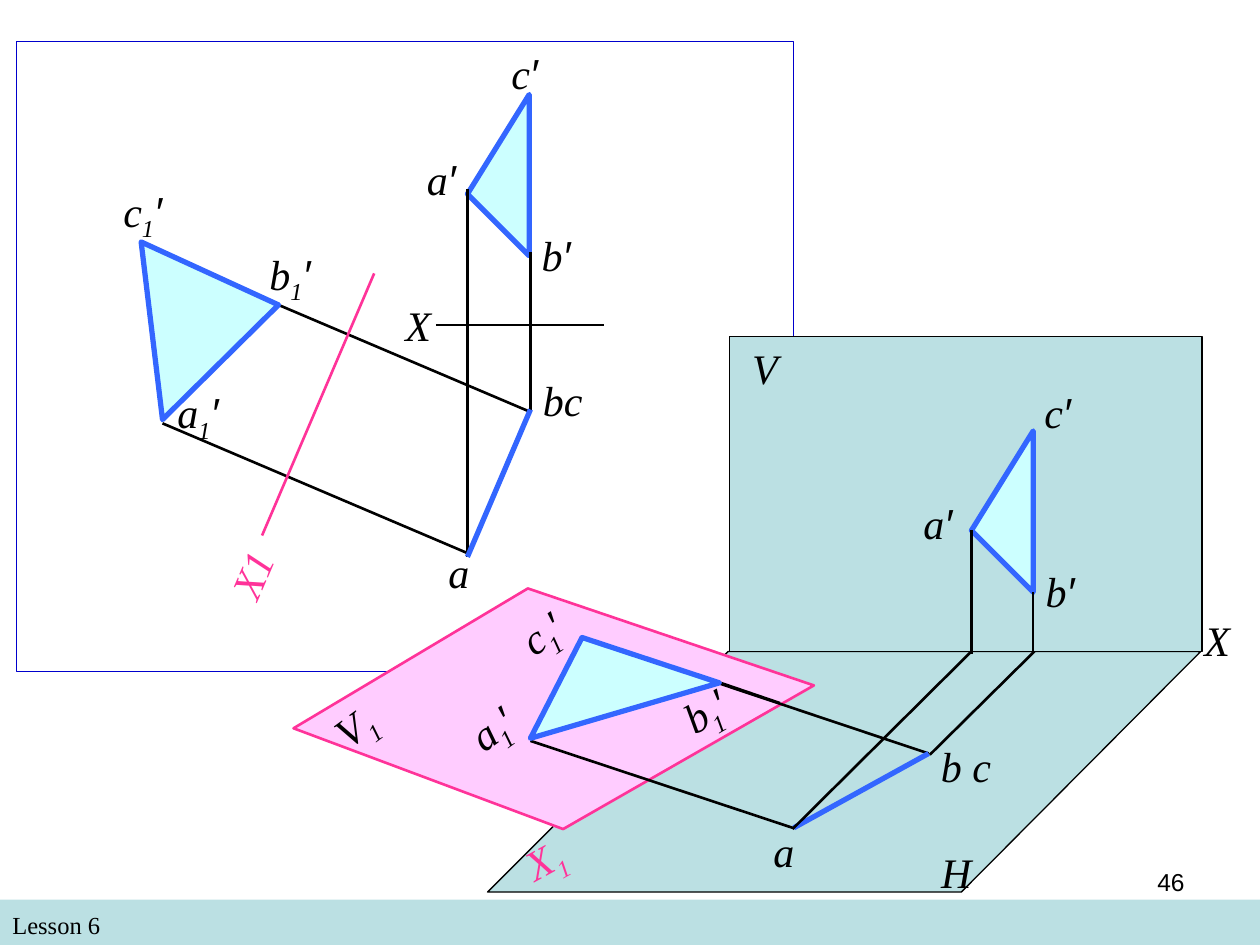
from lxml.etree import SubElement
from pptx import Presentation
from pptx.dml.color import RGBColor
from pptx.enum.shapes import MSO_CONNECTOR, MSO_SHAPE
from pptx.enum.text import PP_ALIGN
from pptx.oxml.ns import qn
from pptx.util import Inches, Pt

BLACK, BLUE, PINK = "000000", "3366FF", "FF3399"
TEAL, CYAN, ROSE = "BBE0E3", "CCFFFF", "FFCCFF"
SERIF, SANS = "Times New Roman", "Arial"


def color(code):
    return RGBColor.from_string(code)


def paint(shape, fill, line, width):
    shape.shadow.inherit = False
    if fill:
        shape.fill.solid()
        shape.fill.fore_color.rgb = color(fill)
    else:
        shape.fill.background()
    if line:
        shape.line.color.rgb = color(line)
        shape.line.width = Pt(width)
    else:
        shape.line.fill.background()


def style(run, face, size, hue=BLACK, slant=False):
    font = run.font
    font.name, font.size, font.italic = face, Pt(size), slant
    font.color.rgb = color(hue)


def note(shapes, text, box, face, align):
    frame = shapes.add_textbox(*map(Inches, box)).text_frame
    frame.word_wrap = True
    frame.text = text
    para = frame.paragraphs[0]
    para.alignment = align
    style(para.runs[0], face, 14)


class Pen:
    def __init__(self, shapes, left, top):
        self.shapes = shapes.add_group_shape().shapes
        self.left, self.top = left, top

    def point(self, x, y):
        return Inches(self.left + x), Inches(self.top + y)

    def rect(self, x, y, width, height, fill, line):
        size = Inches(width), Inches(height)
        shape = self.shapes.add_shape(MSO_SHAPE.RECTANGLE, *self.point(x, y), *size)
        paint(shape, fill, line, 0.75)

    def outline(self, points, fill=CYAN, line=BLUE, width=3):
        first, *rest = [self.point(*spot) for spot in points]
        path = self.shapes.build_freeform(*first)
        path.add_line_segments(rest, close=True)
        paint(path.convert_to_shape(), fill, line, width)

    def lines(self, pairs, hue=BLACK, width=1.5):
        for start, end in pairs:
            line = self.shapes.add_connector(
                MSO_CONNECTOR.STRAIGHT, *self.point(*start), *self.point(*end))
            line.line.color.rgb = color(hue)
            line.line.width = Pt(width)
            SubElement(line._element.spPr, qn("a:effectLst"))

    def label(self, name, x, y, width=0.67, mark="", turn=0, hue=BLACK):
        height = 0.56 if "1" in mark else 0.5
        box = self.shapes.add_textbox(*self.point(x, y), Inches(width), Inches(height))
        box.rotation = turn
        frame = box.text_frame
        frame.word_wrap = True
        frame.text = name
        para = frame.paragraphs[0]
        style(para.runs[0], SERIF, 24, hue, True)
        for sign in mark:
            run = para.add_run()
            run.text = sign
            style(run, SERIF if sign == "1" else SANS, 24, hue, True)
            if sign == "1":
                run._r.get_or_add_rPr().set("baseline", "-25000")

    def front(self, x, y):
        self.outline([(x, y), (x, y + 1.28), (x - 0.49, y + 0.79)])


def sheet(shapes, left, top):
    pen = Pen(shapes, left, top)
    pen.lines([((2.08, 2.09), (4.08, 2.94)), ((1.16, 3.03), (3.58, 4.06))])
    pen.outline([(0.99, 1.59), (1.16, 3), (2.08, 2.09)])
    pen.label("a", 1.18, 2.69, 1, "1′")
    pen.label("c", 0.75, 1.09, 0.75, "1′")
    pen.label("b", 1.91, 1.59, 0.75, "1′")
    pen.lines([((2.84, 1.84), (1.95, 3.92))], PINK)
    pen.label("X1", 1.5, 3.86, 0.83, turn=293.2, hue=PINK)

    pen.rect(0, 0, 6.17, 5, None, "0000CC")
    pen.lines([((3.33, 2.25), (4.66, 2.25))])
    pen.front(4.07, 0.42)
    pen.lines([((4.08, 1.67), (4.08, 2.92)), ((3.58, 1.17), (3.58, 4.09))])
    pen.lines([((4.08, 2.92), (3.58, 4.09))], BLUE, 3)
    pen.label("bc", 4.08, 2.59)
    pen.label("a", 3.33, 3.96)
    pen.label("b", 4.07, 1.44, mark="′")
    pen.label("a", 3.16, 0.84, mark="′")
    pen.label("c", 3.83, 0, mark="′")
    pen.label("X", 2.99, 2, 0.5)


def scene(shapes, left, top):
    pen = Pen(shapes, left, top)
    pen.outline([(3.45, 2.5), (1.54, 4.41), (5.3, 4.41), (7.2, 2.5)], TEAL, BLACK, 0.75)
    pen.outline([(2.14, 3.91), (0, 3.11), (1.86, 2), (4.13, 2.77)], ROSE, PINK, 1.5)
    pen.rect(3.46, 0, 3.75, 2.5, TEAL, BLACK)
    pen.lines([((3.96, 3.9), (1.88, 3.21)), ((5.04, 3.31), (2.29, 2.39))])
    pen.front(5.87, 0.75)
    pen.lines([((5.87, 2.03), (5.87, 2.52)), ((5.38, 1.54), (5.38, 2.52))])
    pen.lines([((3.97, 3.9), (5.04, 3.31))], BLUE, 3)
    pen.lines([((5.88, 2.5), (5.05, 3.32)), ((5.38, 2.5), (3.96, 3.91))])

    pen.label("V", 3.54, 0, 0.42)
    pen.label("H", 5.04, 4, 0.42)
    pen.label("a", 4.9, 1.23, mark="′")
    pen.label("c", 5.86, 0.35, mark="′")
    pen.label("b", 5.87, 1.77, mark="′")
    pen.label("X", 7.13, 2.16, 0.5)
    pen.label("X", 1.73, 3.81, 0.83, "1", 331.1, PINK)
    pen.label("V", 0.23, 2.78, 0.67, "1", 323.6)
    pen.label("c", 1.71, 2.04, 0.71, "1′", 325.4)
    pen.label("b", 2.99, 2.63, 0.87, "1′", 329.8)
    pen.label("a", 1.29, 2.75, 0.87, "1′", 324)
    pen.lines([((3.39, 2.75), (3.86, 2.91))])
    pen.label("b", 5.04, 3.16)
    pen.label("c", 5.29, 3.16)
    pen.label("a", 3.71, 3.83, 0.5)
    pen.outline([(1.88, 3.19), (3.38, 2.75), (2.29, 2.39)])


def footer(shapes, left, top, width, height):
    box = map(Inches, (left, top, width, height))
    paint(shapes.add_shape(MSO_SHAPE.RECTANGLE, *box), TEAL, None, 0)
    note(shapes, "Lesson 6", (left, top + 0.03, 4.83, 0.34), SERIF, PP_ALIGN.LEFT)


def main():
    deck = Presentation()
    deck.slide_width, deck.slide_height = Inches(10), Inches(7.5)
    shapes = deck.slides.add_slide(deck.slide_layouts[6]).shapes
    footer(shapes, 0, 7.14, 10, 0.36)
    sheet(shapes, 0.13, 0.33)
    scene(shapes, 2.33, 2.67)
    note(shapes, "46", (7.17, 6.83, 2.33, 0.52), SANS, PP_ALIGN.RIGHT)
    deck.save("out.pptx")


if __name__ == "__main__":
    main()
